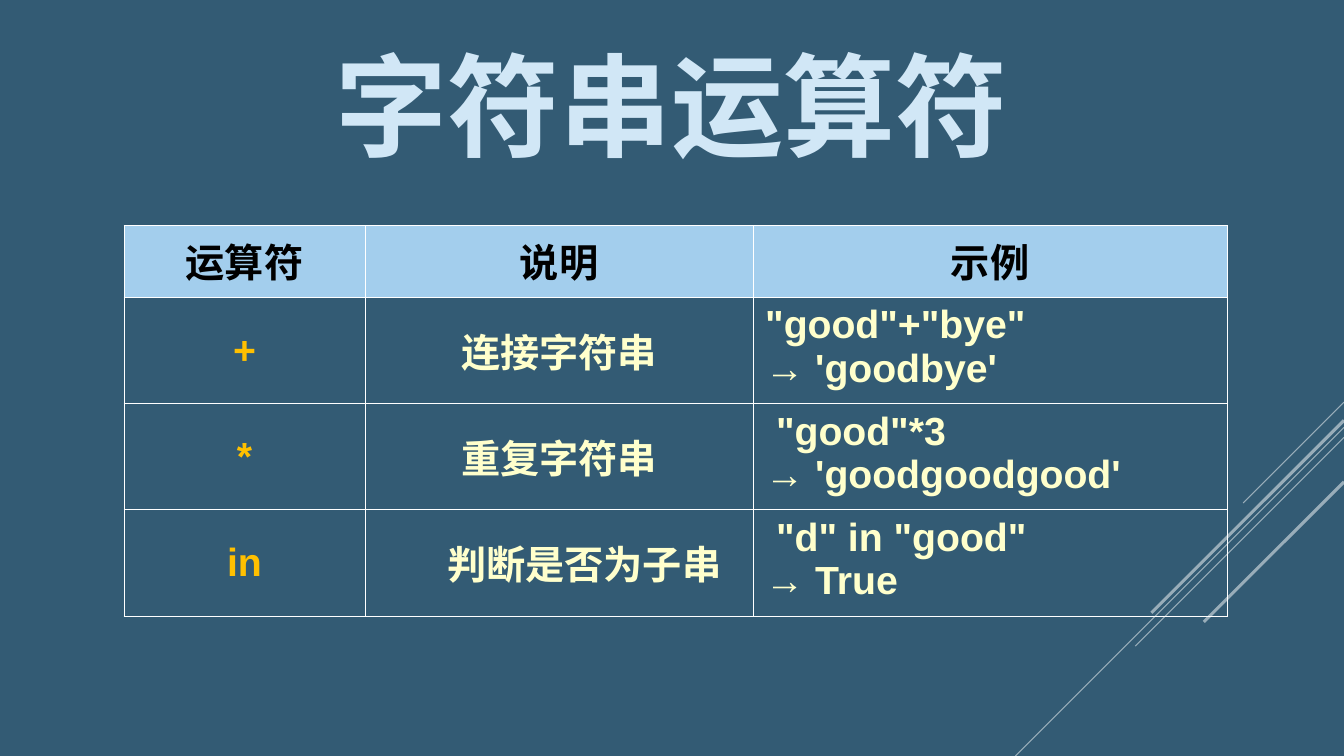
from lxml.etree import SubElement
from pptx import Presentation
from pptx.dml.color import RGBColor
from pptx.enum.shapes import MSO_CONNECTOR
from pptx.enum.text import MSO_ANCHOR, PP_ALIGN
from pptx.oxml.ns import qn
from pptx.util import Inches, Pt

COLORS = {
    "background": "335B74",
    "title": "D1E7F6",
    "header": "A3CEED",
    "header_text": "000000",
    "operator": "FFC000",
    "body": "FFFFCC",
    "line": "FFFFFF",
}
LATIN, CHINESE = "Arial", "Noto Sans CJK SC"
WIDTH, HEIGHT = 13.33, 7.5
COLUMNS = [2.39, 3.85, 4.7]
HEADER_HEIGHT, ROW_HEIGHT = 0.71, 1.05

HEADERS = ["运算符", "说明", "示例"]
OPERATORS = [
    ("+", "连接字符串", ['"good"+"bye"', "→ 'goodbye'"]),
    ("*", "重复字符串", [' "good"*3', "→ 'goodgoodgood'"]),
    ("in", "判断是否为子串", [' "d" in "good"', "→ True"]),
]
# Each stripe runs down to the left at 45 degrees: top at right edge, run, width
STRIPES = [(3.99, 1.0, 0.75), (4.24, 3.26, 0.75), (4.34, 2.07, 0.75),
           (4.17, 1.91, 2.25), (4.78, 1.39, 2.25)]


def rgb(name):
    return RGBColor.from_string(COLORS[name])


def write(frame, lines, size, font, color, align):
    for index, line in enumerate(lines):
        paragraph = frame.add_paragraph() if index else frame.paragraphs[0]
        paragraph.alignment = align
        run = paragraph.add_run()
        run.text = line
        run.font.size = Pt(size)
        run.font.bold = True
        run.font.name = font
        run.font.color.rgb = rgb(color)
        SubElement(run.font._element, qn("a:ea"), typeface=font)


def add_stripes(slide, right):
    for top, length, width in STRIPES:
        stripe = slide.shapes.add_connector(
            MSO_CONNECTOR.STRAIGHT, Inches(right), Inches(top),
            Inches(right - length), Inches(top + length))
        stripe.line.width = Pt(width)
        stripe.line.color.rgb = rgb("line")
        properties = stripe._element.spPr
        # Half transparent, without shadow
        color = properties.find(".//" + qn("a:srgbClr"))
        SubElement(color, qn("a:alpha"), val="50000")
        SubElement(properties, qn("a:effectLst"))


def add_title(slide, left, top, width, height):
    box = slide.shapes.add_textbox(
        Inches(left), Inches(top), Inches(width), Inches(height))
    frame = box.text_frame
    frame.word_wrap = True
    frame.vertical_anchor = MSO_ANCHOR.MIDDLE
    write(frame, ["字符串运算符"], 80, CHINESE, "title", PP_ALIGN.CENTER)


def format_cell(cell, fill=None):
    cell.margin_left = cell.margin_right = Inches(0.12)
    cell.margin_top = cell.margin_bottom = Inches(0.06)
    properties = cell._tc.get_or_add_tcPr()
    for side in ("lnL", "lnR", "lnT", "lnB"):
        border = SubElement(properties, qn("a:" + side), w=str(Pt(0.75)))
        solid = SubElement(border, qn("a:solidFill"))
        SubElement(solid, qn("a:srgbClr"), val=COLORS["line"])
    if fill:
        cell.fill.solid()
        cell.fill.fore_color.rgb = rgb(fill)
    else:
        cell.fill.background()


def add_operator_table(slide, left, top):
    height = HEADER_HEIGHT + ROW_HEIGHT * len(OPERATORS)
    table = slide.shapes.add_table(
        len(OPERATORS) + 1, len(COLUMNS), Inches(left), Inches(top),
        Inches(sum(COLUMNS)), Inches(height)).table
    table.first_row = table.horz_banding = False
    for column, width in zip(table.columns, COLUMNS):
        column.width = Inches(width)
    for index, row in enumerate(table.rows):
        row.height = Inches(ROW_HEIGHT if index else HEADER_HEIGHT)

    # Header row
    for cell, header in zip(table.rows[0].cells, HEADERS):
        format_cell(cell, "header")
        write(cell.text_frame, [header], 28, CHINESE, "header_text", PP_ALIGN.CENTER)

    # One row per operator
    for index, (operator, meaning, example) in enumerate(OPERATORS, 1):
        cells = [table.cell(index, column) for column in range(len(COLUMNS))]
        for cell in cells:
            format_cell(cell)
        for cell in cells[:2]:
            cell.vertical_anchor = MSO_ANCHOR.MIDDLE
        write(cells[0].text_frame, [operator], 28, LATIN, "operator", PP_ALIGN.CENTER)
        write(cells[1].text_frame, [meaning], 28, CHINESE, "body", PP_ALIGN.CENTER)
        write(cells[2].text_frame, example, 28, LATIN, "body", PP_ALIGN.LEFT)

    # The last meaning is set in to the right
    table.cell(len(OPERATORS), 1).margin_left = Inches(0.62)


def main():
    presentation = Presentation()
    presentation.slide_width = Inches(WIDTH)
    presentation.slide_height = Inches(HEIGHT)
    slide = presentation.slides.add_slide(presentation.slide_layouts[6])
    slide.background.fill.solid()
    slide.background.fill.fore_color.rgb = rgb("background")
    add_stripes(slide, WIDTH)
    add_title(slide, 0.51, 0.3, 12.3, 1.45)
    add_operator_table(slide, 1.23, 2.24)
    presentation.save("out.pptx")


if __name__ == "__main__":
    main()
